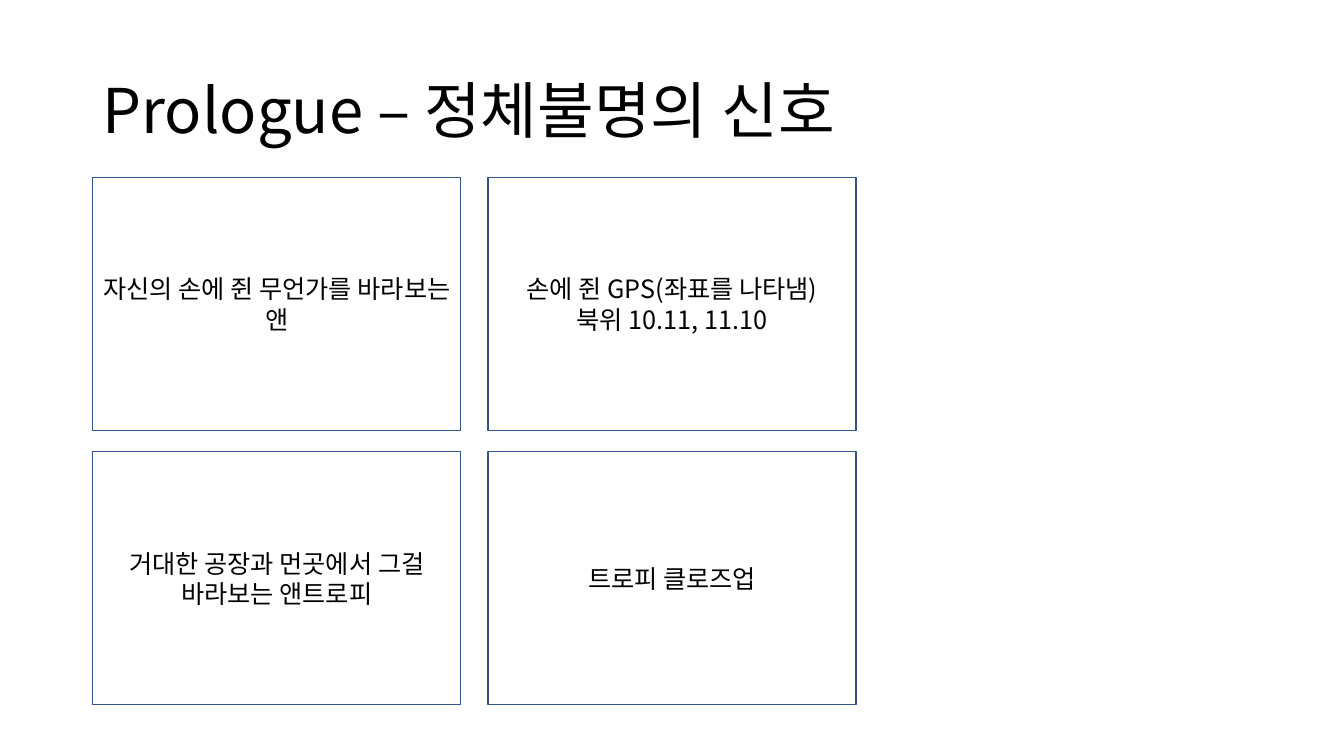
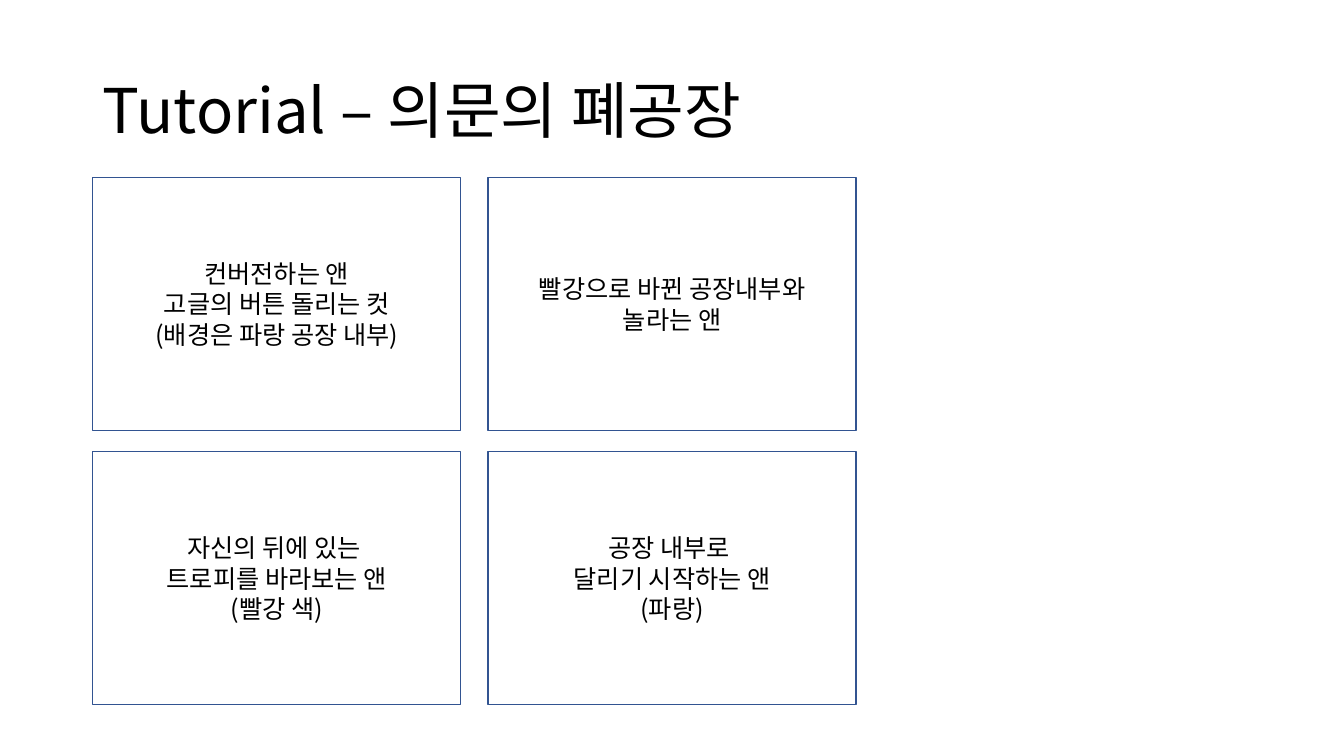
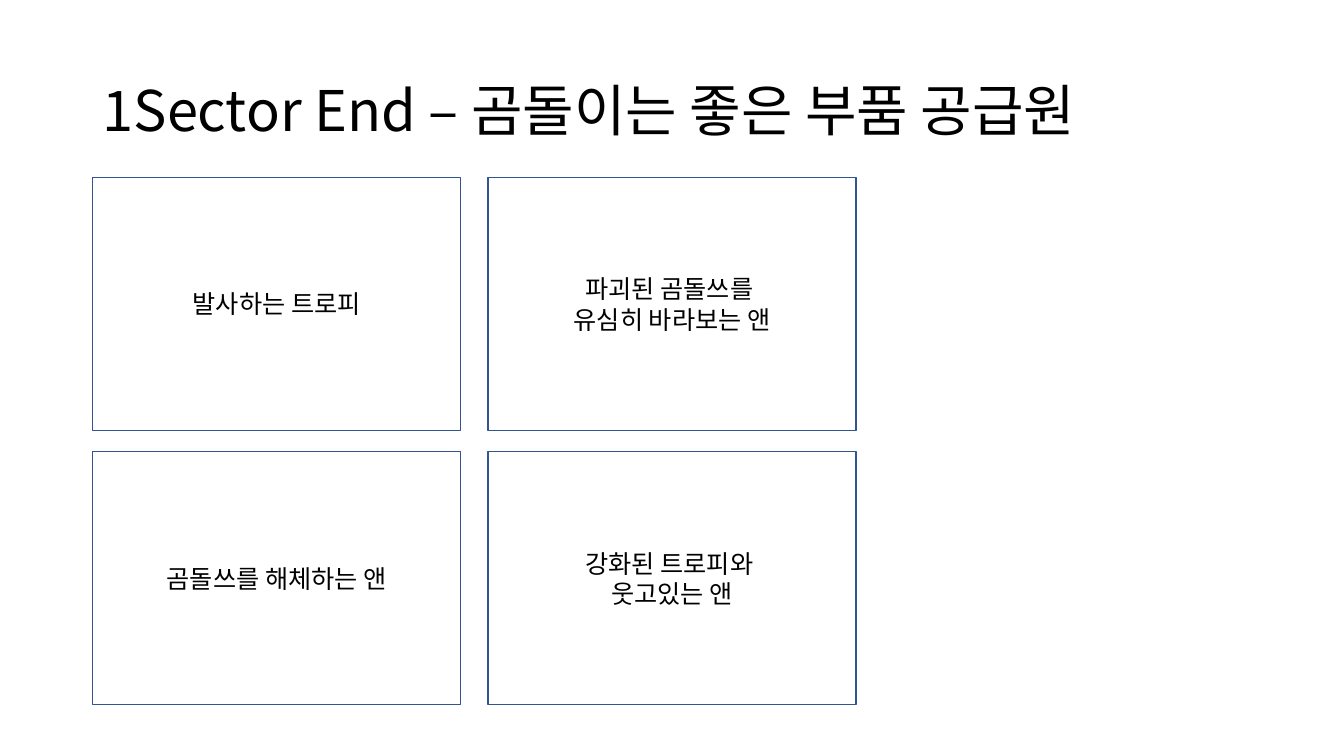
from lxml.etree import SubElement
from pptx import Presentation
from pptx.dml.color import RGBColor
from pptx.enum.shapes import MSO_SHAPE
from pptx.enum.text import MSO_ANCHOR, PP_ALIGN
from pptx.oxml.ns import qn
from pptx.util import Inches, Pt

# Shared style
FONT = "Noto Sans CJK KR"
TEXT_COLOR = RGBColor(0x00, 0x00, 0x00)
FRAME_COLOR = RGBColor(0x32, 0x54, 0x91)
PANEL_SIZE = 18

# Shared layout, in inches: left, top, width, height
TITLE_BOX = (0.92, 0.4, 11.5, 1.45)
BOARD_BOX = (0.92, 1.76, 7.57, 5.23)
COLUMNS, ROWS = 2, 2
COLUMN_GAP, ROW_GAP = 0.27, 0.21

# Title, title size, panel texts row by row
SCENES = [
    ("Prologue – 정체불명의 신호", 44, [
        "자신의 손에 쥔 무언가를 바라보는 앤",
        "손에 쥔 GPS(좌표를 나타냄)\n북위 10.11, 11.10",
        "거대한 공장과 먼곳에서 그걸 바라보는 앤트로피",
        "트로피 클로즈업",
    ]),
    ("Tutorial – 의문의 폐공장", 44, [
        "컨버전하는 앤\n고글의 버튼 돌리는 컷\n(배경은 파랑 공장 내부)",
        "빨강으로 바뀐 공장내부와\n놀라는 앤",
        "자신의 뒤에 있는 \n트로피를 바라보는 앤\n(빨강 색)",
        "공장 내부로 \n달리기 시작하는 앤\n(파랑)",
    ]),
    ("1Sector End – 곰돌이는 좋은 부품 공급원", 40, [
        "발사하는 트로피",
        "파괴된 곰돌쓰를 \n유심히 바라보는 앤",
        "곰돌쓰를 해체하는 앤",
        "강화된 트로피와 \n웃고있는 앤",
    ]),
]


def write_text(shape, text, size, alignment, line_spacing=1.0):
    text_frame = shape.text_frame
    text_frame.text = text
    text_frame.word_wrap = True
    text_frame.vertical_anchor = MSO_ANCHOR.MIDDLE
    for paragraph in text_frame.paragraphs:
        paragraph.alignment = alignment
        paragraph.line_spacing = line_spacing
        for run in paragraph.runs:
            run.font.size = Pt(size)
            run.font.color.rgb = TEXT_COLOR
            run.font.name = FONT
            # Korean glyphs use the East Asian font slot
            SubElement(run._r.get_or_add_rPr(), qn("a:ea"), typeface=FONT)


def add_title(slide, box, text, size):
    title = slide.shapes.add_textbox(*map(Inches, box))
    write_text(title, text, size, PP_ALIGN.LEFT, line_spacing=0.9)


def add_panel(slide, box, text):
    panel = slide.shapes.add_shape(MSO_SHAPE.RECTANGLE, *map(Inches, box))
    panel.shadow.inherit = False
    panel.fill.background()
    panel.line.color.rgb = FRAME_COLOR
    panel.line.width = Pt(1)
    write_text(panel, text, PANEL_SIZE, PP_ALIGN.CENTER)


def add_storyboard(slide, box, texts):
    left, top, width, height = box
    panel_width = (width - (COLUMNS - 1) * COLUMN_GAP) / COLUMNS
    panel_height = (height - (ROWS - 1) * ROW_GAP) / ROWS
    for index, text in enumerate(texts):
        row, column = divmod(index, COLUMNS)
        add_panel(slide, (left + column * (panel_width + COLUMN_GAP),
                          top + row * (panel_height + ROW_GAP),
                          panel_width, panel_height), text)


presentation = Presentation()
presentation.slide_width = Inches(13.33)
presentation.slide_height = Inches(7.5)
blank_layout = presentation.slide_layouts[6]

for title_text, title_size, panel_texts in SCENES:
    slide = presentation.slides.add_slide(blank_layout)
    add_title(slide, TITLE_BOX, title_text, title_size)
    add_storyboard(slide, BOARD_BOX, panel_texts)

presentation.save("out.pptx")
